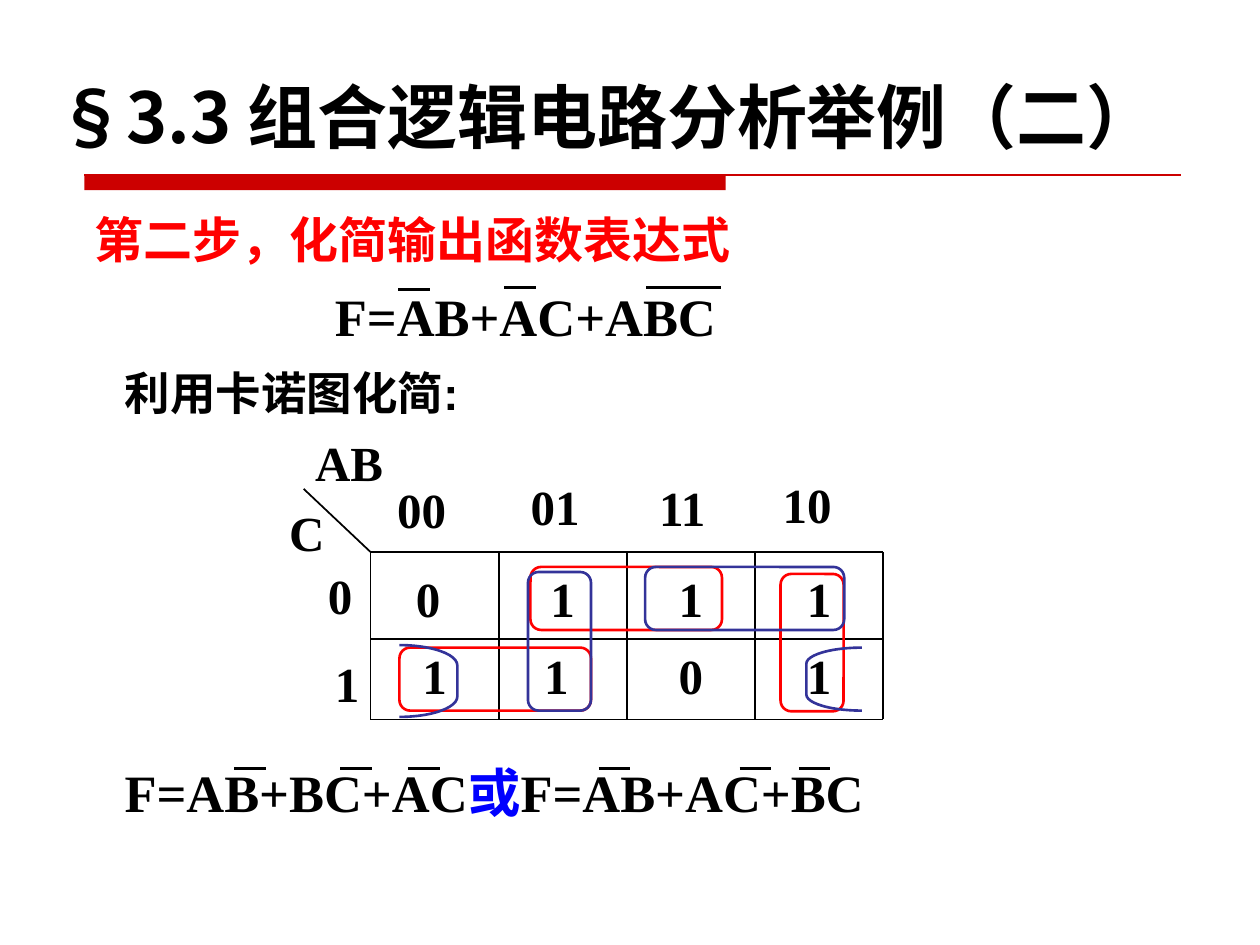
from lxml import etree
from pptx import Presentation
from pptx import util as u
from pptx.dml import color as colors
from pptx.enum import shapes, text
from pptx.oxml import ns

SERIF, SANS, CHINESE = "Times New Roman", "Arial", "Noto Sans CJK SC"
BLACK, RED, BLUE, NAVY, BAND = "000000", "FF0000", "0000FF", "333399", "CC0000"
LEFT, CENTER = text.PP_ALIGN.LEFT, text.PP_ALIGN.CENTER
TOP, BOTTOM = text.MSO_ANCHOR.TOP, text.MSO_ANCHOR.BOTTOM


def color(value):
    """Turn a hex string into a colour."""
    return colors.RGBColor.from_string(value)


def add_text(page, box, spans, size, font=SERIF, align=LEFT, anchor=TOP, wrap=True):
    """Place one bold paragraph made of (wording, colour) spans."""
    frame = page.shapes.add_textbox(*map(u.Inches, box)).text_frame
    frame.word_wrap = wrap
    frame.vertical_anchor = anchor
    para = frame.paragraphs[0]
    para.alignment = align
    for wording, value in spans:
        span = para.add_run()
        span.text = wording
        span.font.size = u.Pt(size)
        span.font.bold = True
        span.font.name = font
        span.font.color.rgb = color(value)
        east_asian = etree.SubElement(span.font._element, ns.qn("a:ea"))
        east_asian.set("typeface", CHINESE)
    return para


def add_line(page, start, end, value=BLACK, width=1):
    """Draw a straight line without a shadow."""
    line = page.shapes.add_connector(
        shapes.MSO_CONNECTOR.STRAIGHT, *map(u.Inches, (*start, *end)))
    line.line.color.rgb = color(value)
    line.line.width = u.Pt(width)
    etree.SubElement(line._element.spPr, ns.qn("a:effectLst"))


def add_outline(page, kind, box, value, adjustment, rotation=0):
    """Draw an unfilled preset shape."""
    outline = page.shapes.add_shape(kind, *map(u.Inches, box))
    outline.shadow.inherit = False
    outline.fill.background()
    outline.line.color.rgb = color(value)
    outline.line.width = u.Pt(1.5)
    outline.adjustments[0] = adjustment
    outline.rotation = rotation


def add_title(page, box):
    """Place the title and the red rule beneath it."""
    left, top, width, height = box
    rule_left, rule_top = left + 0.32, top + height + 0.09
    bar = page.shapes.add_shape(
        shapes.MSO_SHAPE.RECTANGLE, *map(u.Inches, (rule_left, rule_top, 5.09, 0.12)))
    bar.shadow.inherit = False
    bar.fill.solid()
    bar.fill.fore_color.rgb = color(BAND)
    bar.line.fill.background()
    add_line(page, (rule_left, rule_top), (rule_left + 8.7, rule_top), BAND, 0.75)
    add_text(page, box, [("§3.3 组合逻辑电路分析举例（二）", BLACK)], 40, CHINESE, anchor=BOTTOM)


def add_formula(page, box, spans, bars):
    """Place a formula with negation bars given as (x, y, length) offsets."""
    left, top = box[:2]
    for x, y, length in bars:
        add_line(page, (left + x, top + y), (left + x + length, top + y), width=1.5)
    return add_text(page, box, spans, 30)


def add_map_grid(page, box):
    """Draw the grid, the values and the headings of the Karnaugh map."""
    left, top, width, height = box
    right, bottom = left + width, top + height
    column, middle = width / 4, top + 0.69
    values = [[("0", -0.05), ("1", 0), ("1", 0), ("1", 0)],
              [("1", 0), ("1", -0.05), ("0", 0), ("1", 0)]]
    for row, y in zip(values, (top + 0.08, middle)):
        for index, (value, shift) in enumerate(row):
            add_text(page, (left + index * column + shift, y, column, 0.68),
                     [(value, BLACK)], 28, align=CENTER)
    for y in (top, middle, bottom):
        add_line(page, (left, y), (right, y))
    for index in range(5):
        x = left + index * column
        add_line(page, (x, top), (x, bottom))
    add_line(page, (left - 0.53, top - 0.5), (left, top))
    headings = [("00", 0.11, -0.62, 0.59), ("01", 1.17, -0.65, 0.59),
                ("11", 2.18, -0.64, 0.59), ("10", 3.17, -0.66, 0.59),
                ("AB", -0.54, -1, 0.74), ("C", -0.93, -0.44, 0.85),
                ("0", -0.61, 0.06, 0.74), ("1", -0.61, 0.76, 0.85)]
    for wording, x, y, label_width in headings:
        add_text(page, (left + x, top + y, label_width, 0.57), [(wording, BLACK)],
                 28, align=CENTER, wrap=len(wording) == 1)


def add_map_loops(page, box):
    """Circle the adjacent ones of both simplifications."""
    left, top = box[:2]
    rounded = shapes.MSO_SHAPE.ROUNDED_RECTANGLE
    opening = shapes.MSO_SHAPE.LEFT_BRACKET
    closing = shapes.MSO_SHAPE.RIGHT_BRACKET
    loops = [(rounded, 0.23, 0.76, 1.52, 0.5, RED, 0.17, 0),
             (rounded, 1.27, 0.12, 1.52, 0.5, RED, 0.17, 0),
             (rounded, 2.96, 0.47, 1.09, 0.5, RED, 0.17, 90),
             (rounded, 0.95, 0.46, 1.1, 0.5, NAVY, 0.17, 90),
             (rounded, 2.18, 0.12, 1.58, 0.5, NAVY, 0.17, 0),
             (opening, 3.46, 0.76, 0.44, 0.5, NAVY, 0.29, 0),
             (closing, 0.23, 0.74, 0.46, 0.57, NAVY, 0.35, 0)]
    for kind, x, y, width, height, value, adjustment, rotation in loops:
        add_outline(page, kind, (left + x, top + y, width, height),
                    value, adjustment, rotation)


def build_page(page):
    """Arrange the regions of the slide."""
    add_title(page, (0.35, 0.28, 9.45, 1.02))
    add_text(page, (0.65, 1.61, 9, 0.57), [("第二步，化简输出函数表达式", RED)], 28, SANS)
    start = add_formula(page, (2.56, 2.3, 3.6, 0.5), [("F=AB+AC+ABC", BLACK)],
                        [(0.6, 0, 0.25), (1.44, -0.02, 0.25), (2.57, -0.02, 0.59)])
    start.line_spacing = 0.8
    add_text(page, (0.89, 2.85, 8.9, 0.54), [("利用卡诺图化简:", BLACK)], 26, SANS)
    karnaugh = (2.94, 4.38, 4.07, 1.33)
    add_map_grid(page, karnaugh)
    add_map_loops(page, karnaugh)
    add_formula(page, (0.89, 5.98, 6.6, 0.6),
                [("F=AB+BC+AC", BLACK), ("或", BLUE), ("F=AB+AC+BC", BLACK)],
                [(x, 0.12, 0.25) for x in (0.97, 1.81, 2.35, 3.86, 4.98, 5.45)])


def main():
    """Build and save the deck."""
    deck = Presentation()
    deck.slide_width, deck.slide_height = u.Inches(10), u.Inches(7.5)
    build_page(deck.slides.add_slide(deck.slide_layouts[6]))
    deck.save("out.pptx")


if __name__ == "__main__":
    main()
